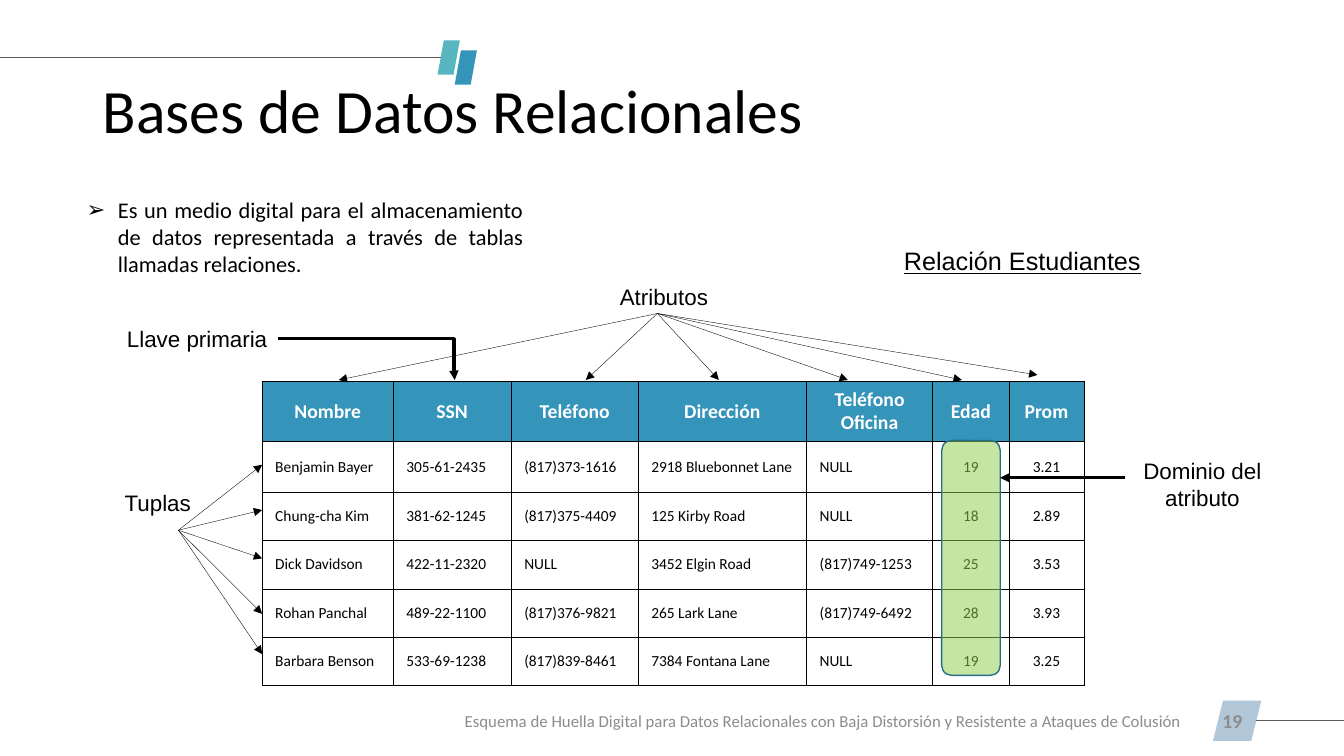
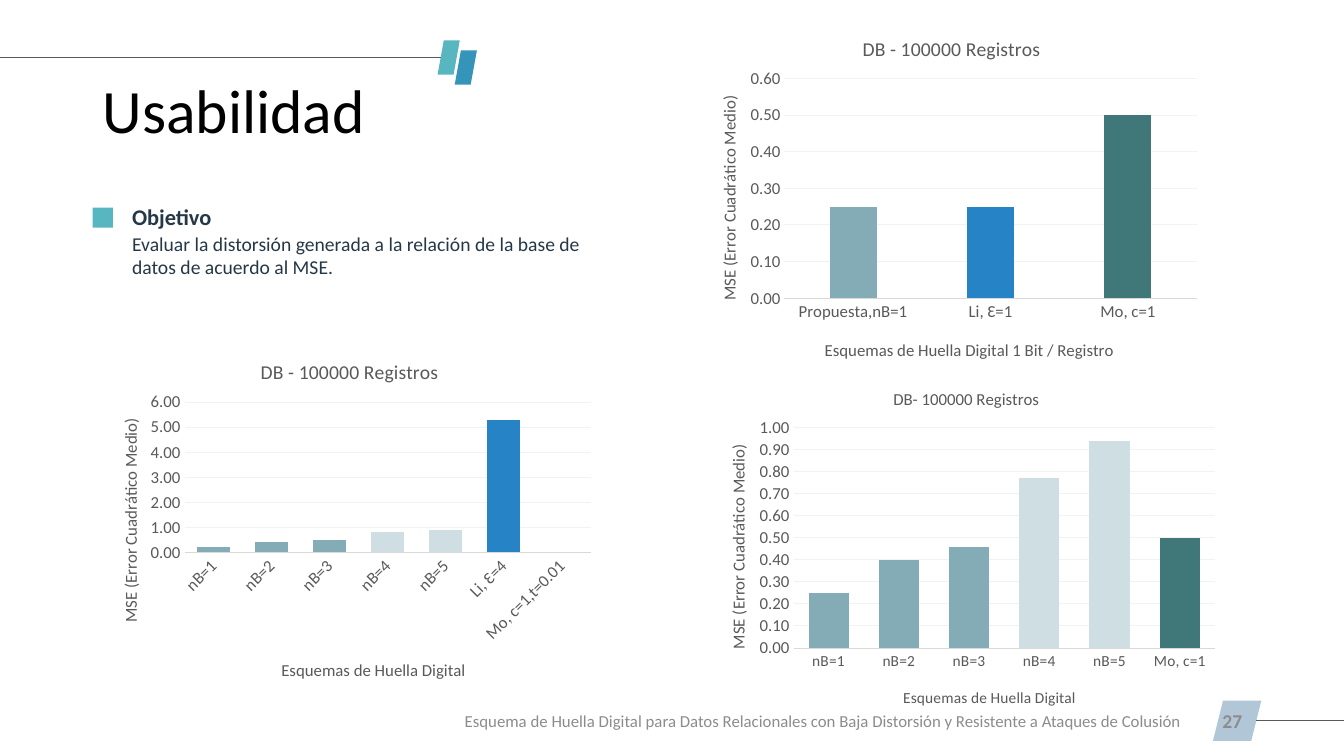
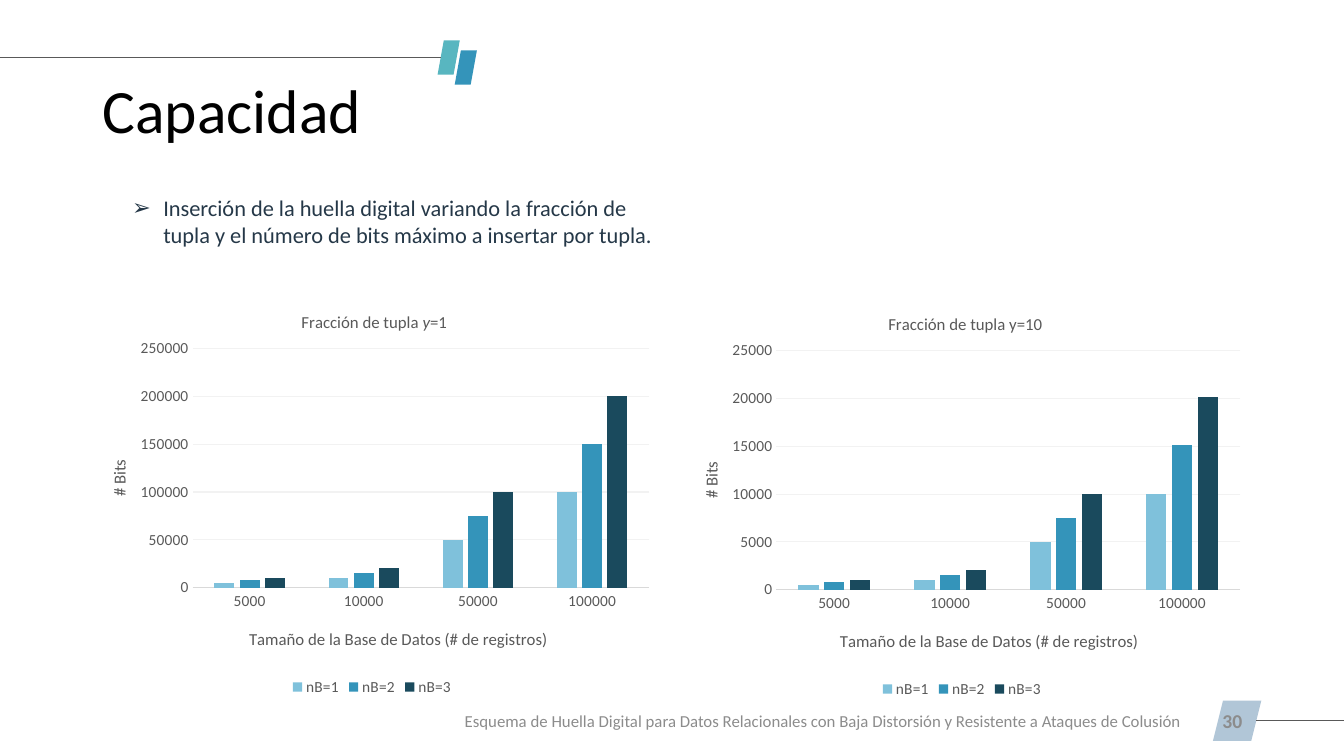
from lxml.etree import SubElement
from pptx import Presentation
from pptx.chart.data import CategoryChartData
from pptx.dml.color import RGBColor
from pptx.enum.chart import XL_CHART_TYPE as CT, XL_LEGEND_POSITION as LP, XL_TICK_MARK as TM
from pptx.enum.shapes import MSO_CONNECTOR as MC, MSO_SHAPE as MS
from pptx.enum.text import MSO_ANCHOR as MA, PP_ALIGN as PA
from pptx.oxml import parse_xml
from pptx.oxml.ns import nsdecls, qn
from pptx.util import Inches, Pt

COLORS = {
    "black": "000000", "white": "FFFFFF", "navy": "253848", "muted": "8C8C8C",
    "rule": "595959", "teal": "58B6C0", "blue": "3494BA", "badge": "B1C6D7",
    "green": "92D050", "outline": "266D8A", "axis": "D9D9D9", "grid": "F2F2F2",
    "steel": "84ACB6", "pale": "CEDEE2", "azure": "2683C6", "pine": "407879",
    "sky": "7FC1DB", "deep": "1A4A5D",
}
FOOTER = ("Esquema de Huella Digital para Datos Relacionales con Baja Distorsión "
          "y Resistente a Ataques de Colusión")
MSE = "MSE (Error Cuadrático Medio)"
SCHEMES = "Esquemas de Huella Digital"
LABEL = {"size": 16, "name": "Arial"}
CENTER = {"align": PA.CENTER, "anchor": MA.MIDDLE}

STUDENTS = [
    ["Nombre", "SSN", "Teléfono", "Dirección", "Teléfono Oficina", "Edad", "Prom"],
    ["Benjamin Bayer", "305-61-2435", "(817)373-1616", "2918 Bluebonnet Lane", "NULL", "19", "3.21"],
    ["Chung-cha Kim", "381-62-1245", "(817)375-4409", "125 Kirby Road", "NULL", "18", "2.89"],
    ["Dick Davidson", "422-11-2320", "NULL", "3452 Elgin Road", "(817)749-1253", "25", "3.53"],
    ["Rohan Panchal", "489-22-1100", "(817)376-9821", "265 Lark Lane", "(817)749-6492", "28", "3.93"],
    ["Barbara Benson", "533-69-1238", "(817)839-8461", "7384 Fontana Lane", "NULL", "19", "3.25"],
]


def rgb(name):
    return RGBColor.from_string(COLORS[name])


def inches(values):
    return [Inches(v) for v in values]


def set_all(obj, fmt):
    for key, value in fmt.items():
        setattr(obj, key, value)


def set_font(font, size, color="black", name="Calibri", **fmt):
    set_all(font, {"size": Pt(size), "name": name, "bold": False, **fmt})
    font.color.rgb = rgb(color)


def set_line(line, color, width):
    line.color.rgb = rgb(color)
    line.width = Pt(width)


def add_text(shapes, box, text, font, align=PA.LEFT, anchor=MA.TOP, inset=True,
             bullet=False, spacing=None):
    sp = shapes.add_textbox(*inches(box))
    tf = sp.text_frame
    set_all(tf, {"word_wrap": True, "vertical_anchor": anchor})
    if not inset:
        set_all(tf, dict.fromkeys(
            ("margin_left", "margin_top", "margin_right", "margin_bottom"), 0))
    p = tf.paragraphs[0]
    set_all(p, {"alignment": align, "line_spacing": spacing})
    if bullet:
        ppr = p._p.get_or_add_pPr()
        ppr.set("marL", str(Inches(0.31)))
        ppr.set("indent", str(-Inches(0.31)))
        SubElement(ppr, qn("a:buFont")).set("typeface", "Arial")
        SubElement(ppr, qn("a:buChar")).set("char", "➢")
    r = p.add_run()
    r.text = text
    set_font(r.font, **font)
    return sp


def add_block(shapes, kind, box, fill, adj=None):
    sp = shapes.add_shape(kind, *inches(box))
    sp.shadow.inherit = False
    sp.fill.solid()
    sp.fill.fore_color.rgb = rgb(fill)
    sp.line.fill.background()
    if adj is not None:
        sp.adjustments[0] = adj
    return sp


def add_line(shapes, start, end, color="black", width=0.25, arrow=True, kind=MC.STRAIGHT):
    cn = shapes.add_connector(kind, *inches(start + end))
    set_line(cn.line, color, width)
    if arrow:
        SubElement(cn.line._get_or_add_ln(), qn("a:tailEnd")).set("type", "triangle")
    SubElement(cn._element.spPr, qn("a:effectLst"))
    return cn


def add_fan(shapes, origin, targets):
    for target in targets:
        add_line(shapes, origin, target)


def add_frame(prs, title, number):
    s = prs.slides.add_slide(prs.slide_layouts[6])
    shapes = s.shapes
    add_block(shapes, MS.PARALLELOGRAM, (12.03, 6.95, 0.48, 0.4), "badge")
    add_text(shapes, (0.92, 0.4, 11.5, 1.45), title, {"size": 44},
             anchor=MA.MIDDLE, spacing=0.9)
    add_text(shapes, (9.42, 6.95, 3, 0.4), str(number),
             {"size": 14, "color": "muted", "bold": True}, PA.RIGHT, MA.MIDDLE)
    for x, y, fill in ((4.34, 0.4, "teal"), (4.51, 0.5, "blue")):
        add_block(shapes, MS.PARALLELOGRAM, (x, y, 0.22, 0.34), fill, 0.28)
    for start, end in (((0, 0.57), (4.37, 0.57)), ((12.46, 7.15), (13.33, 7.15))):
        add_line(shapes, start, end, "rule", 1, arrow=False)
    add_text(shapes, (4.51, 6.95, 7.51, 0.4), FOOTER,
             {"size": 12, "color": "muted"}, anchor=MA.MIDDLE)
    return shapes


def set_borders(cell):
    tcpr = cell._tc.get_or_add_tcPr()
    for i, side in enumerate(("lnL", "lnR", "lnT", "lnB")):
        tcpr.insert(i, parse_xml(
            f'<a:{side} {nsdecls("a")} w="{Pt(0.25)}"><a:solidFill>'
            f'<a:srgbClr val="{COLORS["black"]}"/></a:solidFill></a:{side}>'))


def add_grid(shapes, box, rows, widths, heights):
    table = shapes.add_table(len(rows), len(widths), *inches(box)).table
    set_all(table, {"first_row": False, "horz_banding": False})
    for col, width in zip(table.columns, widths):
        col.width = Inches(width)
    for row, height in zip(table.rows, heights):
        row.height = Inches(height)
    for i, values in enumerate(rows):
        head = i == 0
        for j, value in enumerate(values):
            cell = table.cell(i, j)
            set_all(cell, {
                "vertical_anchor": MA.MIDDLE,
                "margin_left": Inches(0.13), "margin_right": Inches(0.13),
                "margin_top": Inches(0.06), "margin_bottom": Inches(0.06)})
            cell.fill.solid()
            cell.fill.fore_color.rgb = rgb("blue" if head else "white")
            set_borders(cell)
            p = cell.text_frame.paragraphs[0]
            p.alignment = PA.CENTER if head or j > 4 else PA.LEFT
            r = p.add_run()
            r.text = value
            set_font(r.font, 14 if head else 11, "white" if head else "black", bold=head)


def place(element, index, frame, box):
    for old in element.findall(qn("c:layout")):
        element.remove(old)
    layout = parse_xml(f'<c:layout {nsdecls("c")}><c:manualLayout/></c:layout>')
    manual = layout[0]
    if len(box) == 4:
        SubElement(manual, qn("c:layoutTarget")).set("val", "inner")
    for mode in ("xMode", "yMode"):
        SubElement(manual, qn(f"c:{mode}")).set("val", "edge")
    left, top, width, height = frame
    fractions = [(box[0] - left) / width, (box[1] - top) / height]
    fractions += [v / total for v, total in zip(box[2:], (width, height))]
    for tag, value in zip("xywh", fractions):
        SubElement(manual, qn(f"c:{tag}")).set("val", f"{value:.4f}")
    element.insert(index, layout)


def write_title(title, pieces, size, frame, spot):
    tf = title.text_frame
    p = tf.paragraphs[0]
    for text, italic in pieces:
        r = p.add_run()
        r.text = text
        set_font(r.font, size, "rule", italic=italic)
    place(title._element, 1, frame, spot)
    return tf


def add_bars(shapes, frame, plot_box, title, cat_title, val_title, cats, series, top, step,
             gap, sizes, fmt="General", legend=False, points=(), tilt=False):
    title_size, cat_title_size, cat_size, val_size = sizes
    data = CategoryChartData()
    data.categories = cats
    for name, values, _ in series:
        data.add_series(name, values)
    chart = shapes.add_chart(CT.COLUMN_CLUSTERED, *inches(frame), data).chart
    set_font(chart.font, 10)
    plot = chart.plots[0]
    set_all(plot, {"gap_width": gap, "overlap": -27, "vary_by_categories": False})
    for ser, (_, _, color) in zip(plot.series, series):
        ser.format.fill.solid()
        ser.format.fill.fore_color.rgb = rgb(color)
    for i, color in enumerate(points):
        fill = plot.series[0].points[i].format.fill
        fill.solid()
        fill.fore_color.rgb = rgb(color)

    cat, val = chart.category_axis, chart.value_axis
    for axis, size in ((cat, cat_size), (val, val_size)):
        set_all(axis, {"major_tick_mark": TM.NONE, "minor_tick_mark": TM.NONE})
        set_font(axis.tick_labels.font, size, "rule")
    set_line(cat.format.line, "axis", 0.75)
    val.format.line.fill.background()
    set_all(val, {"minimum_scale": 0, "maximum_scale": top, "major_unit": step,
                  "has_major_gridlines": True})
    set_line(val.major_gridlines.format.line, "grid", 0.75)
    set_all(val.tick_labels, {"number_format": fmt, "number_format_is_linked": False})
    if tilt:
        cat._element.find(qn("c:txPr")).find(qn("a:bodyPr")).set("rot", "-2700000")

    pieces, spot = title
    write_title(chart.chart_title, pieces, title_size, frame, spot)
    text, spot = cat_title
    write_title(cat.axis_title, [(text, False)], cat_title_size, frame, spot)
    text, spot = val_title
    tf = write_title(val.axis_title, [(text, False)], 12, frame, spot)
    body = tf._txBody.find(qn("a:bodyPr"))
    body.set("rot", "-5400000")
    body.set("vert", "horz")
    place(chart._chartSpace.chart.plotArea, 0, frame, plot_box)

    chart.has_legend = legend
    if legend:
        set_all(chart.legend, {"position": LP.BOTTOM, "include_in_layout": False})
        set_font(chart.legend.font, 11, "rule")


def build_relational(prs):
    shapes = add_frame(prs, "Bases de Datos Relacionales", 19)
    add_text(shapes, (0.86, 1.95, 4.33, 0.81),
             "Es un medio digital para el almacenamiento de datos representada "
             "a través de tablas llamadas relaciones.",
             {"size": 16}, PA.JUSTIFY, inset=False, bullet=True)
    add_grid(shapes, (2.6, 3.78, 8.13, 3.01), STUDENTS,
             (1.3, 1.17, 1.26, 1.67, 1.25, 0.76, 0.74), [0.6, 0.5] + [0.48] * 4)
    labels = {}
    for text, box in (("Atributos", (5.96, 2.84, 1.25, 0.21)),
                      ("Tuplas", (1.06, 4.9, 1.01, 0.18)),
                      ("Dominio del atributo", (11.12, 4.61, 1.61, 0.38)),
                      ("Llave primaria", (1.15, 3.17, 1.61, 0.38))):
        labels[text] = add_text(shapes, box, text, LABEL, **CENTER)
    add_text(shapes, (8.82, 2.38, 2.64, 0.41), "Relación Estudiantes",
             {"size": 18, "name": "Arial", "underline": True}, **CENTER)
    add_fan(shapes, (6.52, 3.11),
            [(x, 3.77) for x in (3.36, 5.81, 7.13, 8.41, 9.54)] + [(10.29, 3.72)])
    add_fan(shapes, (1.77, 5.26), [(2.6, y) for y in (4.61, 5.06, 5.54, 6.09, 6.49)])

    domain = add_block(shapes, MS.ROUNDED_RECTANGLE, (9.34, 4.37, 0.58, 2.33), "green")
    color = domain.fill._xPr.find(qn("a:solidFill"))[0]
    SubElement(color, qn("a:alpha")).set("val", "53000")
    set_line(domain.line, "outline", 1)
    add_line(shapes, (11.16, 4.74), (9.92, 4.74), width=2.25)
    key = add_line(shapes, (2.76, 3.36), (4.51, 3.77), width=2.25, kind=MC.ELBOW)
    key.begin_connect(labels["Llave primaria"], 3)
    guide = SubElement(key._element.spPr.prstGeom.get_or_add_avLst(), qn("a:gd"))
    guide.set("name", "adj1")
    guide.set("fmla", "val 99600")


def build_usability(prs):
    shapes = add_frame(prs, "Usabilidad", 27)
    goal = shapes.add_group_shape().shapes
    add_block(goal, MS.RECTANGLE, (0.92, 2.06, 0.2, 0.2), "teal")
    add_text(goal, (1.31, 2.3, 4.48, 0.47),
             "Evaluar la distorsión generada a la relación de la base de datos de acuerdo al MSE.",
             {"size": 14, "color": "navy"}, inset=False)
    add_text(goal, (1.31, 2.02, 4.48, 0.27), "Objetivo",
             {"size": 16, "color": "navy", "bold": True}, inset=False)

    bits = [f"nB={n}" for n in range(1, 6)]
    bit_colors = ["steel"] * 3 + ["pale"] * 2
    add_bars(shapes, (6.86, 0.12, 5.09, 3.62), (7.78, 0.78, 4.09, 2.18),
             ([("DB - 100000 Registros", False)], (8.52, 0.31)),
             (SCHEMES + " 1 Bit / Registro", (8.15, 3.33)), (MSE, (7.09, 0.92)),
             ["Propuesta,nB=1", "Li, Ɛ=1", "Mo, c=1"],
             [("Series 1", (0.25, 0.25, 0.5), "blue")], 0.6, 0.1, 192, (14, 12, 12, 12),
             "0.00", points=("steel", "azure", "pine"))
    add_bars(shapes, (0.92, 3.33, 5.03, 3.58), (1.83, 3.99, 4.03, 1.49),
             ([("DB - 100000 Registros", False)], (2.55, 3.52)),
             (SCHEMES, (2.76, 6.51)), (MSE, (1.15, 4.12)),
             bits + ["Li, Ɛ=4", "Mo, c=1,t=0.01"],
             [("Series 1", (0.2, 0.4, 0.5, 0.8, 0.9, 5.3, None), "blue")],
             6, 1, 75, (14, 12, 12, 12), "0.00", points=bit_colors + ["azure"], tilt=True)
    add_bars(shapes, (6.95, 3.64, 5.21, 3.54), (7.87, 4.24, 4.18, 2.19),
             ([("DB- 100000 Registros", False)], (8.83, 3.82)),
             (SCHEMES, (8.93, 6.79)), (MSE, (7.18, 4.38)), bits + ["Mo, c=1"],
             [("Series 1", (0.25, 0.4, 0.46, 0.77, 0.94, 0.5), "blue")],
             1, 0.1, 75, (12, 11, 11, 12), "0.00", points=bit_colors + ["pine"])


def build_capacity(prs):
    shapes = add_frame(prs, "Capacidad", 30)
    add_text(shapes, (1.31, 1.93, 5.26, 0.54),
             "Inserción de la huella digital variando la fracción de tupla "
             "y el número de bits máximo a insertar por tupla.",
             {"size": 16, "color": "navy"}, inset=False, bullet=True)
    size_title = "Tamaño de la Base de Datos (# de registros)"
    for frame, plot_box, title, cat_spot, val_spot, columns, top in (
        ((0.81, 2.85, 5.76, 4.1), (1.91, 3.46, 4.53, 2.37),
         ([("Fracción de tupla ", False), ("y", True), ("=1", False)], (2.96, 3.05)),
         (2.44, 6.2), (1.04, 4.53),
         ((5000, 10000, 50000, 100000), (8000, 15000, 75000, 150000),
          (10000, 20000, 100000, 200000)), 250000),
        ((6.67, 2.88, 5.74, 4.09), (7.7, 3.48, 4.6, 2.37),
         ([("Fracción de tupla y=10", False)], (8.78, 3.07)),
         (8.3, 6.22), (6.91, 4.55),
         ((500, 1000, 5000, 10000), (800, 1500, 7500, 15100),
          (1000, 2000, 10000, 20200)), 25000),
    ):
        series = list(zip(("nB=1", "nB=2", "nB=3"), columns, ("sky", "blue", "deep")))
        add_bars(shapes, frame, plot_box, title, (size_title, cat_spot), ("# Bits", val_spot),
                 ["5000", "10000", "50000", "100000"], series, top, top / 5, 219,
                 (12, 12, 11, 11), legend=True)


def main():
    prs = Presentation()
    set_all(prs, {"slide_width": Inches(13.33), "slide_height": Inches(7.5)})
    build_relational(prs)
    build_usability(prs)
    build_capacity(prs)
    prs.save("out.pptx")


if __name__ == "__main__":
    main()
